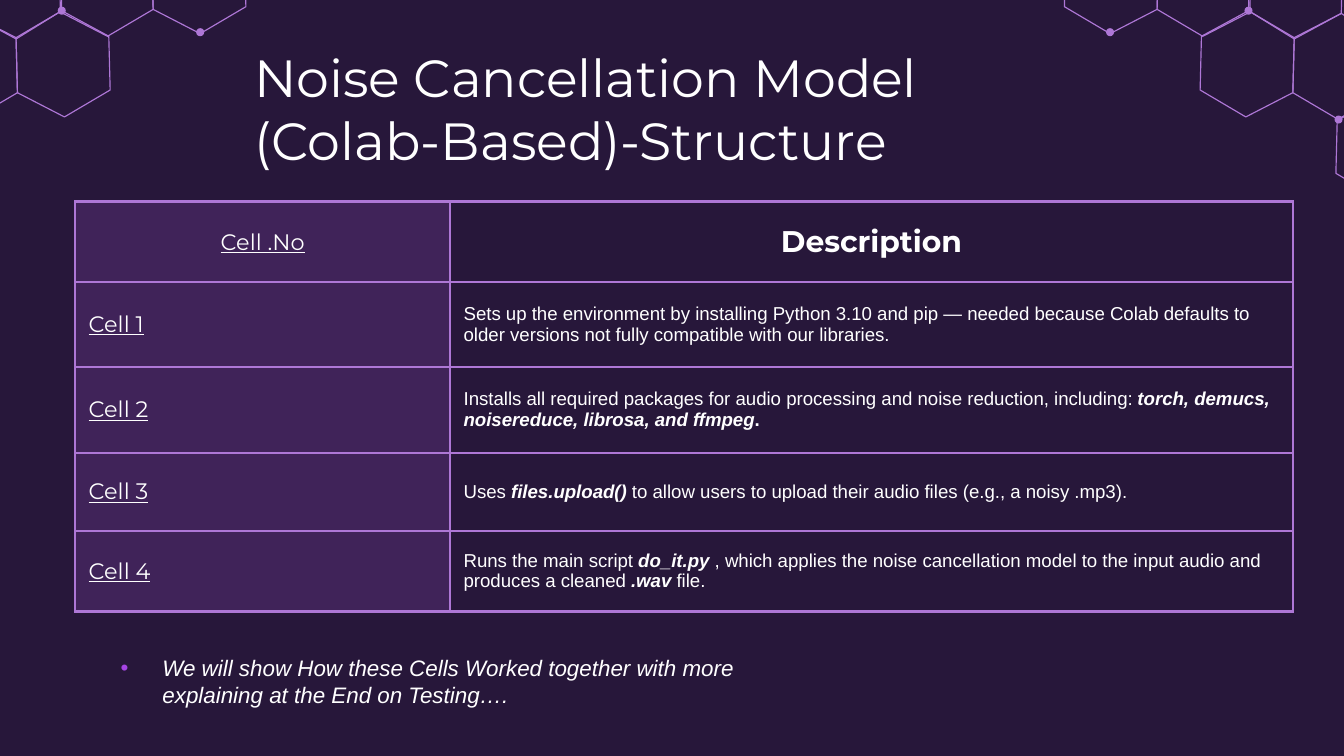
from lxml.etree import SubElement
from pptx import Presentation
from pptx.dml.color import RGBColor
from pptx.enum.shapes import MSO_SHAPE
from pptx.enum.text import MSO_ANCHOR, MSO_AUTO_SIZE, PP_ALIGN
from pptx.oxml import parse_xml
from pptx.oxml.ns import nsdecls, qn
from pptx.util import Inches, Pt

BACKGROUND, LILAC, PLUM, VIOLET, WHITE = "27173A", "AE77D6", "733C9B", "A644E5", "FFFFFF"

# Text formats
HEADING = {"name": "Montserrat", "size": Pt(28), "bold": False}
LABEL = {"name": "Montserrat", "size": Pt(12), "bold": False, "underline": True}
COLUMN_HEAD = {"name": "Montserrat", "size": Pt(16), "bold": True}
BODY = {"name": "Arial", "size": Pt(10), "bold": False}
STRONG = BODY | {"bold": True}
CODE = STRONG | {"italic": True}
REMARK = {"name": "Arial", "size": Pt(12), "italic": True}

# Molecule: offsets from the lowest corner of a hexagon, and the places used
HEXAGON = [(0, 0), (-0.34, -0.2), (-0.33, -0.6), (0.02, -0.79), (0.36, -0.58), (0.35, -0.18)]
RINGS = [(9.63, 0.28), (8.95, 0.27), (8.26, 0.25), (9.96, 0.89), (9.27, 0.87)]
ATOMS = [(9.29, 0.08), (8.26, 0.24)]
EDGE_RING, EDGE_ATOM = (10.28, 1.49), (9.96, 0.89)
MIRROR_SUM = 9.75
ATOM_SIZE = 0.06

CELL_ROWS = [
    ("Cell 1", [("Sets up the environment by installing Python 3.10 and pip — needed because Colab "
                 "defaults to older versions not fully compatible with our libraries.", BODY)]),
    ("Cell 2", [("Installs all required packages for audio processing and noise reduction, "
                 "including: ", BODY),
                ("torch, demucs, noisereduce, librosa, and ffmpeg", CODE), (".", STRONG)]),
    ("Cell 3", [("Uses ", BODY), ("files.upload()", CODE),
                (" to allow users to upload their audio files (e.g., a noisy .mp3).", BODY)]),
    ("Cell 4", [("Runs the main script ", BODY), ("do_it.py ", CODE),
                (", which applies the noise cancellation model to the input audio and "
                 "produces a cleaned ", BODY), (".wav ", CODE), ("file.", BODY)]),
]


def rgb(color):
    return RGBColor.from_string(color)


def add_runs(paragraph, runs):
    for text, text_format in runs:
        run = paragraph.add_run()
        run.text = text
        for attribute, value in text_format.items():
            setattr(run.font, attribute, value)
        run.font.color.rgb = rgb(WHITE)


def add_molecule(slide, rings, atoms, mirrored=False):
    def across(x):
        return MIRROR_SUM - x if mirrored else x

    for ring_x, ring_y in rings:
        corners = [(Inches(across(ring_x + dx)), Inches(ring_y + dy)) for dx, dy in HEXAGON]
        builder = slide.shapes.build_freeform(*corners[0])
        builder.add_line_segments(corners[1:], close=True)
        ring = builder.convert_to_shape()
        ring.shadow.inherit = False
        ring.fill.background()
        ring.line.color.rgb = rgb(LILAC)
        ring.line.width = Pt(0.61)
    for atom_x, atom_y in atoms:
        atom = slide.shapes.add_shape(
            MSO_SHAPE.OVAL, Inches(across(atom_x) - ATOM_SIZE / 2),
            Inches(atom_y - ATOM_SIZE / 2), Inches(ATOM_SIZE), Inches(ATOM_SIZE))
        atom.shadow.inherit = False
        atom.fill.solid()
        atom.fill.fore_color.rgb = rgb(LILAC)
        atom.line.fill.background()


def add_title(slide, left, top, width, height):
    title = slide.shapes.title
    title.left, title.top, title.width, title.height = map(Inches, (left, top, width, height))
    frame = title.text_frame
    frame.word_wrap = True
    frame.auto_size = MSO_AUTO_SIZE.NONE
    frame.vertical_anchor = MSO_ANCHOR.TOP
    for side in ("left", "top", "right", "bottom"):
        setattr(frame, f"margin_{side}", Inches(0.1))
    paragraph = frame.paragraphs[0]
    paragraph.alignment = PP_ALIGN.LEFT
    paragraph.line_spacing = 1.0
    paragraph.space_before = Pt(0)
    add_runs(paragraph, [("Noise Cancellation Model (Colab-Based)-Structure", HEADING)])


def format_cell(cell, runs, alignment, tinted):
    cell.vertical_anchor = MSO_ANCHOR.MIDDLE
    for side in ("left", "top", "right", "bottom"):
        setattr(cell, f"margin_{side}", Inches(0.1))
    paragraph = cell.text_frame.paragraphs[0]
    paragraph.alignment = alignment
    add_runs(paragraph, runs)
    properties = cell._tc.get_or_add_tcPr()
    if tinted:
        cell.fill.solid()
        cell.fill.fore_color.rgb = rgb(PLUM)
        tint = properties.find(".//" + qn("a:srgbClr"))
        SubElement(tint, qn("a:alpha"), val="33000")
    else:
        cell.fill.background()
    # Borders come before the fill
    for position, edge in enumerate(("lnL", "lnR", "lnT", "lnB")):
        properties.insert(position, parse_xml(
            f'<a:{edge} {nsdecls("a")} w="{Pt(1.5)}"><a:solidFill>'
            f'<a:srgbClr val="{LILAC}"/></a:solidFill></a:{edge}>'))


def add_cell_table(slide, left, top, widths, heights):
    table = slide.shapes.add_table(
        len(heights), len(widths), Inches(left), Inches(top),
        Inches(sum(widths)), Inches(sum(heights))).table
    table.first_row = table.horz_banding = False
    for column, width in zip(table.columns, widths):
        column.width = Inches(width)
    for row, height in zip(table.rows, heights):
        row.height = Inches(height)
    rows = [("Cell .No", [("Description", COLUMN_HEAD)])] + CELL_ROWS
    for index, (label, description) in enumerate(rows):
        alignment = PP_ALIGN.LEFT if index else PP_ALIGN.CENTER
        format_cell(table.cell(index, 0), [(label, LABEL)], alignment, True)
        format_cell(table.cell(index, 1), description, alignment, False)


def add_remark(slide, left, top, width, height):
    frame = slide.shapes.add_textbox(*map(Inches, (left, top, width, height))).text_frame
    frame.word_wrap = True
    frame.auto_size = MSO_AUTO_SIZE.SHAPE_TO_FIT_TEXT
    paragraph = frame.paragraphs[0]
    properties = paragraph._p.get_or_add_pPr()
    properties.set("marL", str(Inches(0.31)))
    properties.set("indent", str(Inches(-0.31)))
    bullet_color = SubElement(properties, qn("a:buClr"))
    SubElement(bullet_color, qn("a:srgbClr"), val=VIOLET)
    SubElement(properties, qn("a:buFont"), typeface="Arial")
    SubElement(properties, qn("a:buChar"), char="•")
    add_runs(paragraph, [("We will show How these Cells Worked together with more explaining "
                          "at the End on Testing….", REMARK)])


def main():
    presentation = Presentation()
    presentation.slide_width = Inches(10)
    presentation.slide_height = presentation.slide_width * 9 // 16
    slide = presentation.slides.add_slide(presentation.slide_layouts[5])
    slide.background.fill.solid()
    slide.background.fill.fore_color.rgb = rgb(BACKGROUND)

    add_molecule(slide, RINGS + [EDGE_RING], ATOMS + [EDGE_ATOM])
    add_molecule(slide, RINGS, ATOMS, mirrored=True)
    add_title(slide, 1.79, 0.24, 6.42, 0.99)
    add_cell_table(slide, 0.56, 1.5, [2.79, 6.27], [0.6, 0.63, 0.64, 0.58, 0.6])
    add_remark(slide, 0.8, 4.82, 5.28, 0.5)
    presentation.save("out.pptx")


if __name__ == "__main__":
    main()
